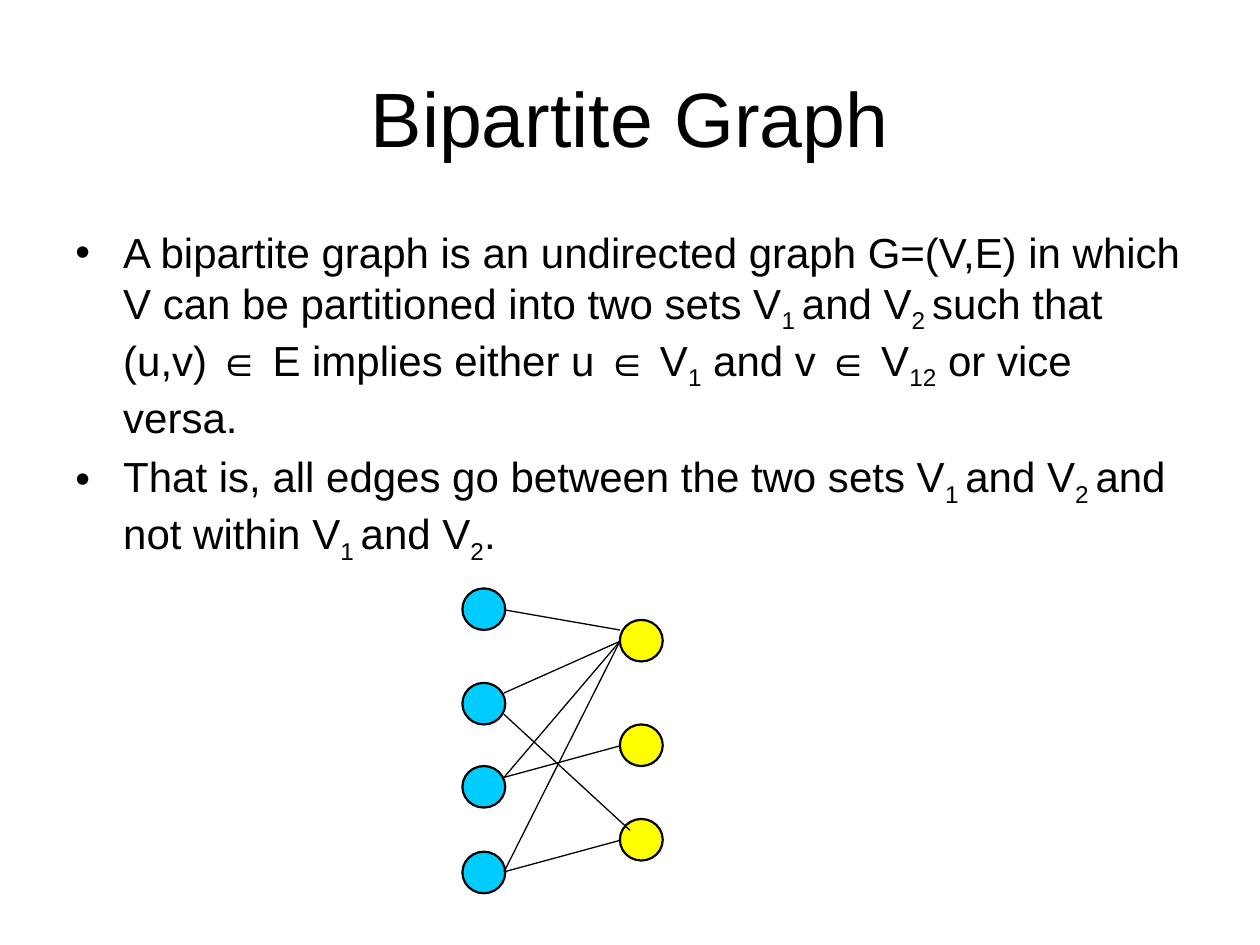
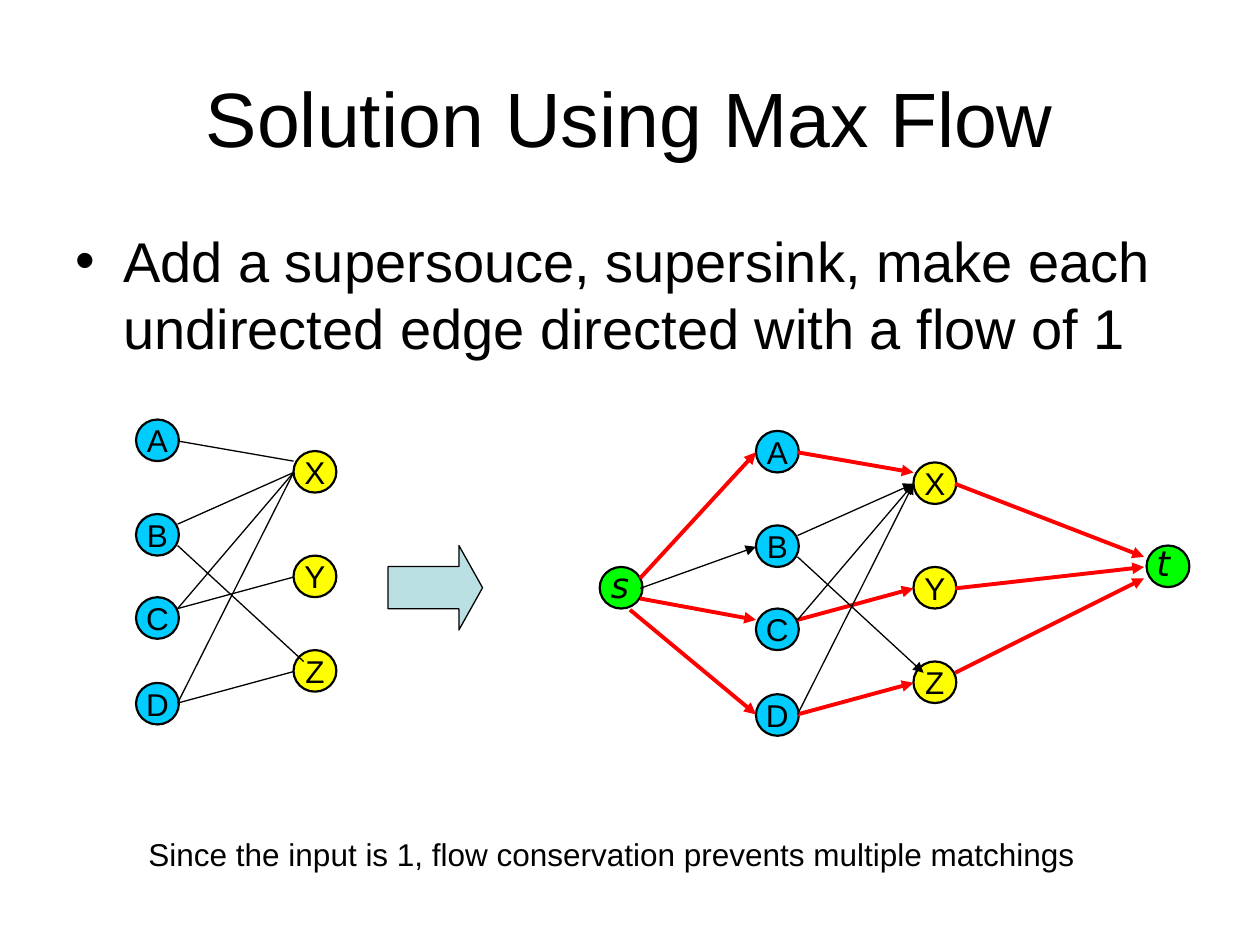
from pptx import Presentation
from pptx.dml.color import RGBColor
from pptx.enum import shapes, text
from pptx.oxml.ns import qn
from pptx.util import Inches, Pt
from lxml import etree

BLACK = RGBColor(0, 0, 0)
RED = RGBColor(0xFF, 0, 0)
BLUE = RGBColor(0, 0xCC, 0xFF)
YELLOW = RGBColor(0xFF, 0xFF, 0)
GREEN = RGBColor(0, 0xFF, 0)
PALE = RGBColor(0xBB, 0xE0, 0xE3)
THIN, THICK = 0.75, 2.25
SIZE = (0.34, 0.33)


def write(para, words, size, font="Arial"):
    """Add runs to a paragraph; every second piece between bars is a subscript."""
    for i, piece in enumerate(words.split("|")):
        run = para.add_run()
        run.text = piece
        run.font.size = Pt(size)
        run.font.name = font
        run.font.color.rgb = BLACK
        if i % 2:
            run.font._element.set("baseline", "-25000")
    return para


def join(slide, ends, color=BLACK, width=THIN, arrow=False):
    line = slide.shapes.add_connector(
        shapes.MSO_CONNECTOR.STRAIGHT, *[Inches(v) for v in ends])
    line.line.color.rgb = color
    line.line.width = Pt(width)
    if arrow:
        etree.SubElement(line.line._get_or_add_ln(), qn("a:tailEnd"), type="triangle")
    etree.SubElement(line._element.spPr, qn("a:effectLst"))


prs = Presentation()
prs.slide_width, prs.slide_height = Inches(10), Inches(7.5)

# Titles and bullets
pages = [
    ("Bipartite Graph", 24, [
        "A bipartite graph is an undirected graph G=(V,E) in which V can be "
        "partitioned into two sets V|1 |and V|2 |such that (u,v) ∈ E implies "
        "either u ∈ V|1| and v ∈ V|12| or vice versa.",
        "That is, all edges go between the two sets V|1 |and V|2 |and not "
        "within V|1 |and V|2|."]),
    ("Solution Using Max Flow", 32, [
        "Add a supersouce, supersink, make each undirected edge directed "
        "with a flow of 1"]),
]
slides = []
for title, size, points in pages:
    slide = prs.slides.add_slide(prs.slide_layouts[6])
    slides.append(slide)
    head = slide.shapes.add_textbox(
        Inches(0.5), Inches(0.3), Inches(9), Inches(1.25)).text_frame
    head.word_wrap = True
    head.vertical_anchor = text.MSO_ANCHOR.MIDDLE
    write(head.paragraphs[0], title, 44).alignment = text.PP_ALIGN.CENTER

    body = slide.shapes.add_textbox(
        Inches(0.5), Inches(1.75), Inches(9), Inches(4.95)).text_frame
    body.word_wrap = True
    for i, point in enumerate(points):
        para = body.add_paragraph() if i else body.paragraphs[0]
        write(para, point, size).space_before = Pt(size * 0.2)
        props = para._p.get_or_add_pPr()
        props.set("marL", str(Inches(0.38)))
        props.set("indent", str(-Inches(0.38)))
        etree.SubElement(props, qn("a:buFont"), typeface="Arial")
        etree.SubElement(props, qn("a:buChar"), char="•")

# Nodes and edges, measured from the corner of node A
pairs = [
    ("A", 0, 0, BLUE), ("B", 0, 0.75, BLUE),
    ("C", 0, 1.41, BLUE), ("D", 0, 2.09, BLUE),
    ("X", 1.25, 0.25, YELLOW), ("Y", 1.25, 1.08, YELLOW),
    ("Z", 1.25, 1.83, YELLOW),
]
poles = [("", -1.24, 1.08, GREEN), ("", 3.1, 0.91, GREEN)]
# Each edge: start, end, and whether the flow uses it
edges = [
    (0.33, 0.17, 1.25, 0.33, True), (0.33, 0.83, 1.25, 0.42, False),
    (0.33, 1.5, 1.25, 1.25, True), (0.33, 2.25, 1.25, 2, True),
    (0.33, 2.25, 1.25, 0.42, False), (0.33, 1, 1.33, 1.92, False),
    (0.33, 1.5, 1.25, 0.42, False),
]
links = [
    (-0.92, 1.17, 0, 0.17, True), (-0.92, 1.25, 0, 0.92, False),
    (-0.92, 1.33, 0, 1.5, True), (-1, 1.42, 0, 2.25, True),
    (1.58, 0.42, 3.08, 1, True), (1.58, 1.25, 3.08, 1.08, True),
    (1.58, 1.92, 3.08, 1.17, True),
]
plain, flow = slides
graphs = [
    (plain, 3.67, 4.67, False, False),
    (flow, 1.08, 3.33, True, False),
    (flow, 6, 3.42, True, True),
]
for slide, left, top, named, solved in graphs:
    for name, x, y, color in pairs + poles * solved:
        node = slide.shapes.add_shape(
            shapes.MSO_SHAPE.OVAL, Inches(left + x), Inches(top + y),
            *[Inches(v) for v in SIZE])
        node.shadow.inherit = False
        node.fill.solid()
        node.fill.fore_color.rgb = color
        node.line.color.rgb = BLACK
        node.line.width = Pt(1.25)
        if named and name:
            frame = node.text_frame
            frame.word_wrap = False
            frame.vertical_anchor = text.MSO_ANCHOR.MIDDLE
            write(frame.paragraphs[0], name, 18).alignment = text.PP_ALIGN.CENTER
    for x1, y1, x2, y2, used in edges + links * solved:
        ends = (left + x1, top + y1, left + x2, top + y2)
        if solved and used:
            join(slide, ends, RED, THICK, True)
        else:
            join(slide, ends, arrow=solved)

# Arrow between the two graphs
arrow = flow.shapes.add_shape(
    shapes.MSO_SHAPE.RIGHT_ARROW, Inches(3.08), Inches(4.33), Inches(0.75), Inches(0.67))
arrow.adjustments[1] = 0.28
arrow.shadow.inherit = False
arrow.fill.solid()
arrow.fill.fore_color.rgb = PALE
arrow.line.color.rgb = BLACK
arrow.line.width = Pt(THIN)

# Source and sink names, closing remark
notes = [
    ("s", 4.75, 4.42, 0.35, 0.43, 20, "DejaVu Sans"),
    ("t", 9.08, 4.25, 0.31, 0.43, 20, "DejaVu Sans"),
    ("Since the input is 1, flow conservation prevents multiple matchings",
     1.08, 6.58, 7.55, 0.4, 18, "Arial"),
]
for words, x, y, w, h, size, font in notes:
    frame = flow.shapes.add_textbox(
        Inches(x), Inches(y), Inches(w), Inches(h)).text_frame
    frame.word_wrap = False
    frame.auto_size = text.MSO_AUTO_SIZE.SHAPE_TO_FIT_TEXT
    para = write(frame.paragraphs[0], words, size, font)
    para.runs[0].font.italic = True if len(words) == 1 else None

prs.save("out.pptx")
